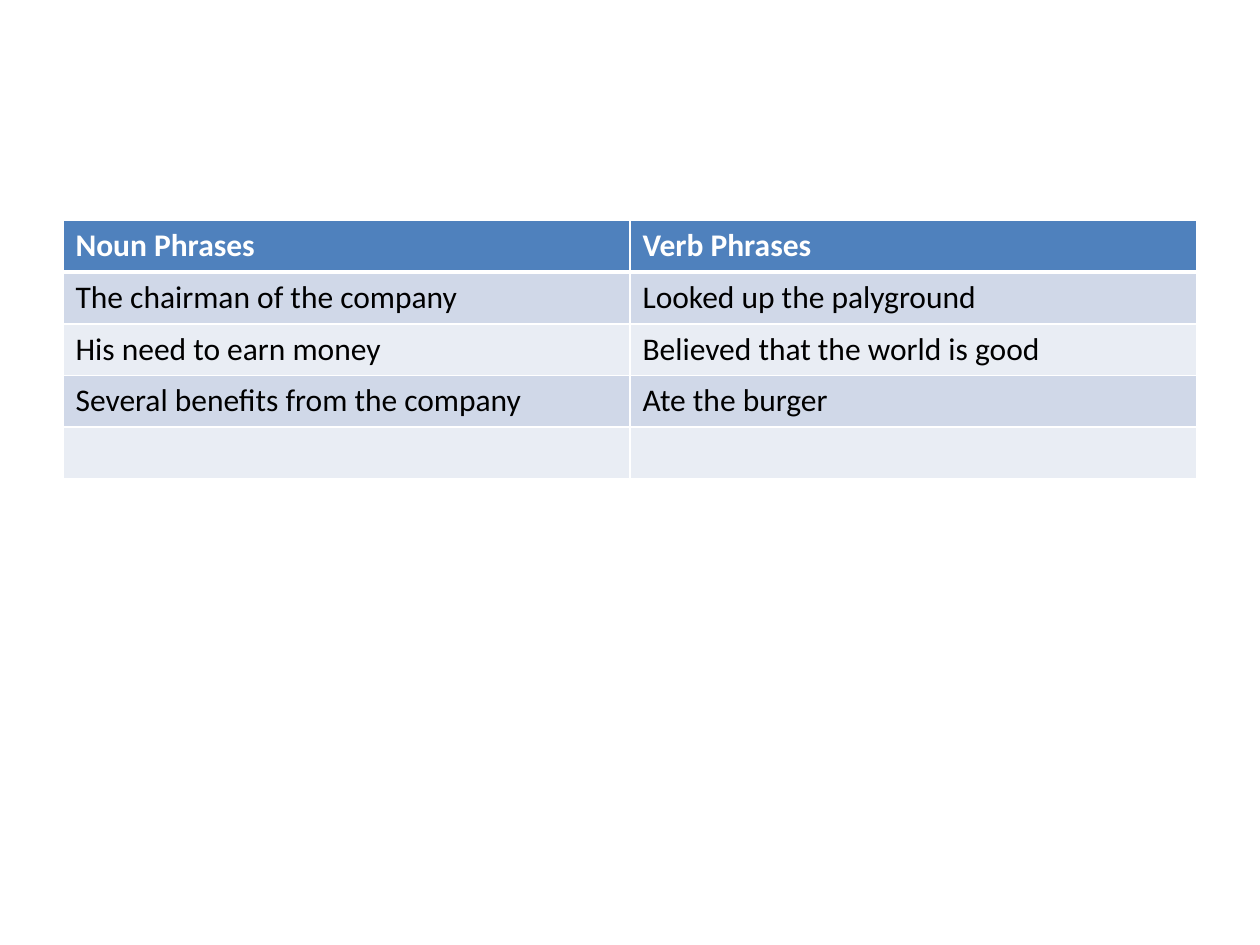
import dataclasses

import lxml.etree
import pptx
import pptx.dml.color
import pptx.oxml.ns
import pptx.util

Inches = pptx.util.Inches


@dataclasses.dataclass(frozen=True)
class Theme:
    font: str = "Calibri"
    size: int = 18
    header_fill: str = "4F81BD"
    header_text: str = "FFFFFF"
    band_fills: tuple = ("D0D8E8", "E9EDF4")
    body_text: str = "000000"
    border: str = "FFFFFF"
    thin: int = 1
    thick: int = 3


def rgb(value):
    return pptx.dml.color.RGBColor.from_string(value)


def write_text(tf, text, *, font, size, color, bold=False):
    p = tf.paragraphs[0]
    p.font.size = pptx.util.Pt(size)
    if text:
        r = p.add_run()
        r.text = text
        r.font.name = font
        r.font.size = pptx.util.Pt(size)
        r.font.bold = bold
        r.font.color.rgb = rgb(color)


def set_borders(cell, color, **widths):
    """Draw cell borders; widths are points keyed by L, R, T and B, in that order."""
    qn = pptx.oxml.ns.qn
    tc_pr = cell._tc.get_or_add_tcPr()
    for side, width in widths.items():
        ln = lxml.etree.SubElement(tc_pr, qn(f"a:ln{side}"), w=str(pptx.util.Pt(width)))
        fill = lxml.etree.SubElement(ln, qn("a:solidFill"))
        lxml.etree.SubElement(fill, qn("a:srgbClr"), val=color)


class SlideBuilder:
    def __init__(self, slide, theme):
        self.s = slide
        self.theme = theme

    def table(self, rows, left, top, col_width, row_height):
        n_rows, n_cols = len(rows), len(rows[0])
        frame = self.s.shapes.add_table(
            n_rows, n_cols, Inches(left), Inches(top),
            Inches(col_width * n_cols), Inches(row_height * n_rows))
        table = frame.table
        for column in table.columns:
            column.width = Inches(col_width)
        for i, texts in enumerate(rows):
            table.rows[i].height = Inches(row_height)
            for j, text in enumerate(texts):
                self.table_cell(table.cell(i, j), text, i)

    def table_cell(self, cell, text, row):
        t = self.theme
        header = row == 0
        set_borders(cell, t.border, L=t.thin, R=t.thin,
                    T=t.thick if row == 1 else t.thin,
                    B=t.thick if header else t.thin)
        cell.fill.solid()
        cell.fill.fore_color.rgb = rgb(
            t.header_fill if header else t.band_fills[(row - 1) % 2])
        write_text(cell.text_frame, text, font=t.font, size=t.size, bold=header,
                   color=t.header_text if header else t.body_text)


PHRASES = [
    ("Noun Phrases", "Verb Phrases"),
    ("The chairman of the company", "Looked up the palyground"),
    ("His need to earn money", "Believed that the world is good"),
    ("Several benefits from the company", "Ate the burger"),
    ("", ""),
]


def main():
    prs = pptx.Presentation()
    prs.slide_width, prs.slide_height = Inches(10), Inches(7.5)
    s = prs.slides.add_slide(prs.slide_layouts[6])
    SlideBuilder(s, Theme()).table(
        PHRASES, left=0.5, top=1.75, col_width=4.5, row_height=0.41)
    prs.save("out.pptx")


if __name__ == "__main__":
    main()
